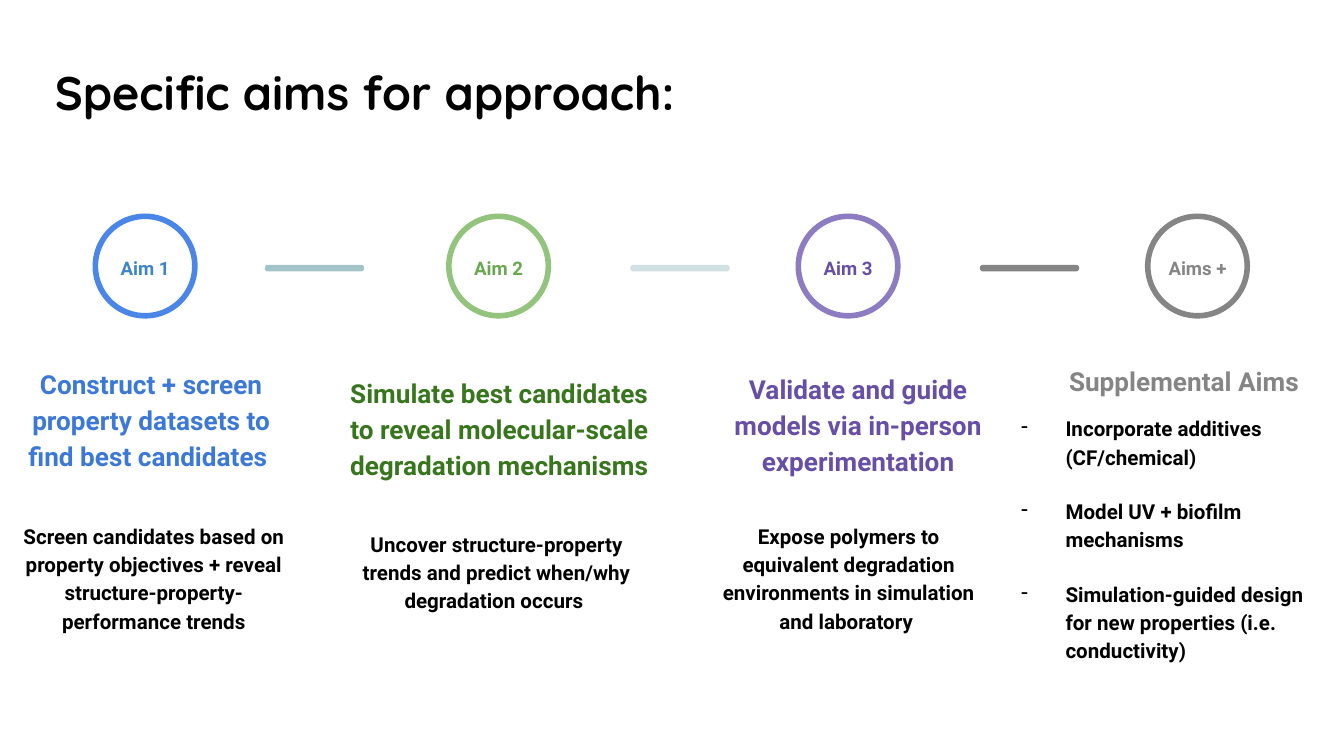
from lxml import etree
from pptx import Presentation
from pptx.dml.color import RGBColor
from pptx.enum.shapes import MSO_SHAPE
from pptx.enum.text import MSO_ANCHOR, PP_ALIGN
from pptx.oxml.ns import qn
from pptx.util import Inches, Pt

OVAL = MSO_SHAPE.OVAL
ROUND = MSO_SHAPE.ROUNDED_RECTANGLE
TOP, BOTTOM = MSO_ANCHOR.TOP, MSO_ANCHOR.BOTTOM
LEFT, CENTER = PP_ALIGN.LEFT, PP_ALIGN.CENTER

BLACK = RGBColor(0x00, 0x00, 0x00)
WHITE = RGBColor(0xFF, 0xFF, 0xFF)
BLUE = RGBColor(0x4A, 0x86, 0xE8)
SEA = RGBColor(0x3D, 0x85, 0xC6)
NAVY = RGBColor(0x3C, 0x78, 0xD8)
LIME = RGBColor(0x93, 0xC4, 0x7D)
LEAF = RGBColor(0x6A, 0xA8, 0x4F)
GREEN = RGBColor(0x38, 0x76, 0x1D)
LILAC = RGBColor(0x8E, 0x7C, 0xC3)
PURPLE = RGBColor(0x67, 0x4E, 0xA7)
GRAY = RGBColor(0x85, 0x85, 0x85)
TEAL = RGBColor(0xA2, 0xC4, 0xC9)
PALE = RGBColor(0xD0, 0xE0, 0xE3)

WIDTH = Inches(10)
HEIGHT = WIDTH * 9 // 16
COLS, ROWS = 100, 56.25
RING, RING_TOP = 7.4, 16.1
LABEL, LABEL_TOP = 6.4, 17.9
BAR_TOP, BAR_HIGH = 19.7, 0.5

AIMS = [
    ("Aim 1", 7.1, BLUE, SEA),
    ("Aim 2", 33.4, LIME, LEAF),
    ("Aim 3", 59.4, LILAC, PURPLE),
    ("Aims +", 85.4, GRAY, GRAY),
]
BARS = [(19.7, TEAL), (46.9, PALE), (72.9, GRAY)]
HEADS = [
    ("Construct + screen property datasets to find best candidates ",
     (-0.2, 25, 22.9, 11.1), NAVY),
    ("Simulate best candidates to reveal molecular-scale degradation mechanisms",
     (24.6, 26.5, 25.1, 10.3), GREEN),
    ("Validate and guide models via in-person experimentation",
     (51.6, 28.9, 24.5, 7.6), PURPLE),
    ("Supplemental Aims", (77.4, 24.9, 21.4, 5.6), GRAY),
]
NOTES = [
    ("Screen candidates based on property objectives + reveal "
     "structure-property- performance trends", (0.5, 37.7, 21.9, 10.3)),
    ("Uncover structure-property trends and predict when/why degradation occurs ",
     (25, 38.3, 23.9, 8)),
    ("Expose polymers to equivalent degradation environments in simulation "
     "and laboratory ", (51.7, 37.7, 22.9, 9.2)),
]
EXTRAS = [
    "Incorporate additives (CF/chemical)",
    "Model UV + biofilm mechanisms",
    "Simulation-guided design for new properties (i.e. conductivity)",
]


class Deck:
    def __init__(self):
        self.show = Presentation()
        self.show.slide_width, self.show.slide_height = WIDTH, HEIGHT
        self.slide = self.show.slides.add_slide(self.show.slide_layouts[6])
        fill = self.slide.background.fill
        fill.solid()
        fill.fore_color.rgb = WHITE
        self.font = "Roboto"

    def place(self, area):
        left, top, wide, high = area
        return (round(WIDTH * left / COLS), round(HEIGHT * top / ROWS),
                round(WIDTH * wide / COLS), round(HEIGHT * high / ROWS))

    def shape(self, kind, area):
        item = self.slide.shapes.add_shape(kind, *self.place(area))
        item.shadow.inherit = False
        return item

    def ring(self, left, color):
        item = self.shape(OVAL, (left, RING_TOP, RING, RING))
        item.fill.background()
        item.line.color.rgb = color
        item.line.width = Pt(3)

    def bar(self, left, color):
        item = self.shape(ROUND, (left, BAR_TOP, RING, BAR_HIGH))
        item.adjustments[0] = 0.5
        item.fill.solid()
        item.fill.fore_color.rgb = color
        item.line.fill.background()

    def text(self, lines, area, size, color, align=CENTER, anchor=TOP,
             font=None, lead=1.15, gap=0, dash=False):
        frame = self.slide.shapes.add_textbox(*self.place(area)).text_frame
        frame.word_wrap = True
        frame.vertical_anchor = anchor
        frame.margin_left = frame.margin_right = Inches(0.1)
        frame.margin_top = frame.margin_bottom = Inches(0.1)
        frame.text = "\n".join(lines)
        for index, para in enumerate(frame.paragraphs):
            para.alignment = align
            para.line_spacing = lead
            if index:
                para.space_before = Pt(gap)
            if dash:
                self.dash(para)
            para.font.name = font or self.font
            para.font.size = Pt(size)
            para.font.bold = True
            para.font.color.rgb = color

    def dash(self, para):
        props = para._p.get_or_add_pPr()
        props.set("marL", str(Inches(0.5)))
        props.set("indent", str(Inches(-0.33)))
        tint = etree.SubElement(props, qn("a:buClr"))
        etree.SubElement(tint, qn("a:srgbClr"), val=str(BLACK))
        etree.SubElement(props, qn("a:buChar"), char="-")


def main():
    deck = Deck()
    deck.text(["Specific aims for approach:"], (3.1, 3.7, 93.2, 6.3), 25.2,
              BLACK, align=LEFT, font="Quicksand", lead=1)
    for left, color in BARS:
        deck.bar(left, color)
    for name, left, edge, ink in AIMS:
        deck.ring(left, edge)
        inset = (RING - LABEL) / 2
        deck.text([name], (left + inset, LABEL_TOP, LABEL, 4), 10, ink)
    for words, area, color in HEADS:
        deck.text([words], area, 14, color, anchor=BOTTOM)
    for words, area in NOTES:
        deck.text([words], area, 11, BLACK)
    deck.text(EXTRAS, (73.3, 29.7, 26.3, 17.2), 11, BLACK, align=LEFT,
              gap=14, dash=True)
    deck.show.save("out.pptx")


if __name__ == "__main__":
    main()
